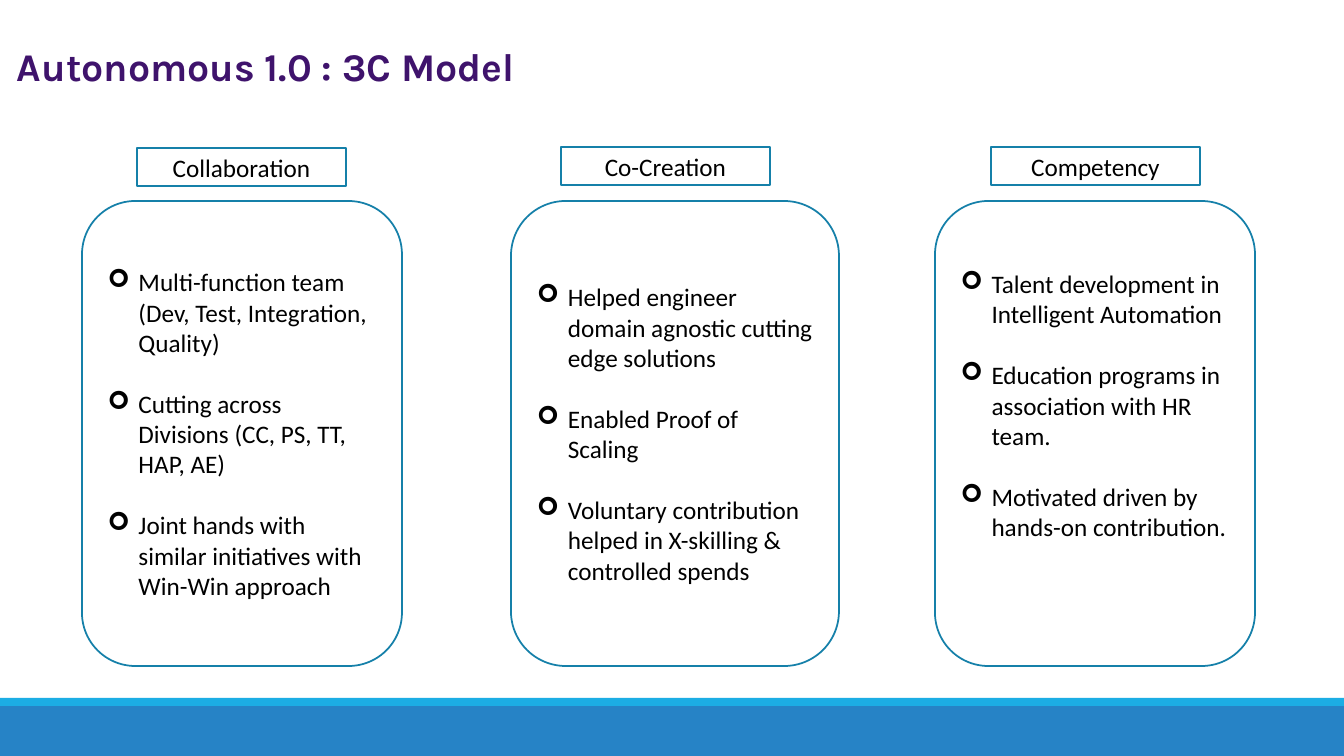
from lxml import etree
from pptx import Presentation
from pptx.dml.color import RGBColor
from pptx.enum.shapes import MSO_SHAPE
from pptx.enum.text import MSO_ANCHOR, MSO_AUTO_SIZE, PP_ALIGN
from pptx.oxml.ns import qn
from pptx.util import Pt

RECT, ROUNDED = MSO_SHAPE.RECTANGLE, MSO_SHAPE.ROUNDED_RECTANGLE
LEFT, CENTER = PP_ALIGN.LEFT, PP_ALIGN.CENTER
MIDDLE, NO_FIT = MSO_ANCHOR.MIDDLE, MSO_AUTO_SIZE.NONE

EMU_PER_PX = 914400 / 100.8
SLIDE_W, SLIDE_H = 1344, 756
COLORS = {"title": "3F136C", "text": "000000", "outline": "1580A9",
          "footer": "2683C6", "stripe": "1CADE4"}

TITLE = "Autonomous 1.0 : 3C Model"
TITLE_BOX = (17, 44, 1152, 43)
FOOTER_BARS = [("footer", 706, 50), ("stripe", 698, 8)]  # color, top, height
LABEL_W, LABEL_H = 209, 38
CARD_TOP, CARD_H = 201, 465
BULLET, BULLET_INDENT = "➢", 31

PILLARS = [
    {"label": "Collaboration", "label_at": (137, 148),
     "card_left": 82, "card_w": 320, "bottom_inset": 5,
     "points": ["Multi-function team (Dev, Test, Integration, Quality)",
                "Cutting across Divisions (CC, PS, TT, HAP, AE)",
                "Joint hands with similar initiatives with Win-Win approach"]},
    {"label": "Co-Creation", "label_at": (561, 147),
     "card_left": 511, "card_w": 328, "bottom_inset": 5,
     "points": ["Helped engineer domain agnostic cutting edge solutions",
                "Enabled Proof of Scaling",
                "Voluntary contribution helped in X-skilling & controlled spends"]},
    {"label": "Competency", "label_at": (991, 147),
     "card_left": 935, "card_w": 320, "bottom_inset": 62,
     "points": ["Talent development in Intelligent Automation",
                "Education programs in association with HR team.",
                "Motivated driven by hands-on contribution."]},
]

TITLE_FONT = {"name": "Karla", "size": Pt(28), "bold": True}
BODY_FONT = {"name": "Calibri", "size": Pt(18)}
TITLE_FRAME = {"margin_left": 0, "margin_top": 0, "margin_right": 0,
               "margin_bottom": 0, "word_wrap": True,
               "vertical_anchor": MIDDLE, "auto_size": NO_FIT}


def px(length):
    return round(length * EMU_PER_PX)


def apply(target, values):
    for name, value in values.items():
        setattr(target, name, value)


def rgb(color):
    return RGBColor.from_string(COLORS[color])


def add_box(slide, preset, box, fill=None):
    """Add a filled bar, or an outlined box when no fill is given."""
    shape = slide.shapes.add_shape(preset, *map(px, box))
    shape.shadow.inherit = False
    if fill:
        shape.fill.solid()
        shape.fill.fore_color.rgb = rgb(fill)
        shape.line.fill.background()
    else:
        shape.fill.background()
        shape.line.color.rgb = rgb("outline")
        shape.line.width = Pt(1.25)
    return shape


def write(paragraph, text, font, color, alignment):
    paragraph.alignment = alignment
    run = paragraph.add_run()
    run.text = text
    apply(run.font, font)
    run.font.color.rgb = rgb(color)


def add_bullet(paragraph):
    properties = paragraph._p.get_or_add_pPr()
    properties.set("marL", str(px(BULLET_INDENT)))
    properties.set("indent", str(-px(BULLET_INDENT)))
    etree.SubElement(properties, qn("a:buFont"), typeface="Wingdings")
    etree.SubElement(properties, qn("a:buChar"), char=BULLET)


def add_pillar(slide, pillar):
    card = add_box(slide, ROUNDED, (pillar["card_left"], CARD_TOP,
                                    pillar["card_w"], CARD_H))
    frame = card.text_frame
    apply(frame, {"word_wrap": True, "vertical_anchor": MIDDLE,
                  "margin_bottom": px(pillar["bottom_inset"])})
    for index, point in enumerate(pillar["points"]):
        paragraph = frame.add_paragraph() if index else frame.paragraphs[0]
        paragraph.space_before = Pt(22 if index else 0)
        write(paragraph, point, BODY_FONT, "text", LEFT)
        add_bullet(paragraph)

    label = add_box(slide, RECT, (*pillar["label_at"], LABEL_W, LABEL_H))
    label.text_frame.vertical_anchor = MIDDLE
    write(label.text_frame.paragraphs[0], pillar["label"], BODY_FONT, "text", CENTER)


def main():
    deck = Presentation()
    apply(deck, {"slide_width": px(SLIDE_W), "slide_height": px(SLIDE_H)})
    slide = deck.slides.add_slide(deck.slide_layouts[5])

    for color, top, height in FOOTER_BARS:
        add_box(slide, RECT, (0, top, SLIDE_W, height), color)
    for pillar in PILLARS:
        add_pillar(slide, pillar)

    title = slide.shapes.title
    apply(title, dict(zip(("left", "top", "width", "height"), map(px, TITLE_BOX))))
    apply(title.text_frame, TITLE_FRAME)
    write(title.text_frame.paragraphs[0], TITLE, TITLE_FONT, "title", LEFT)

    deck.save("out.pptx")


if __name__ == "__main__":
    main()
